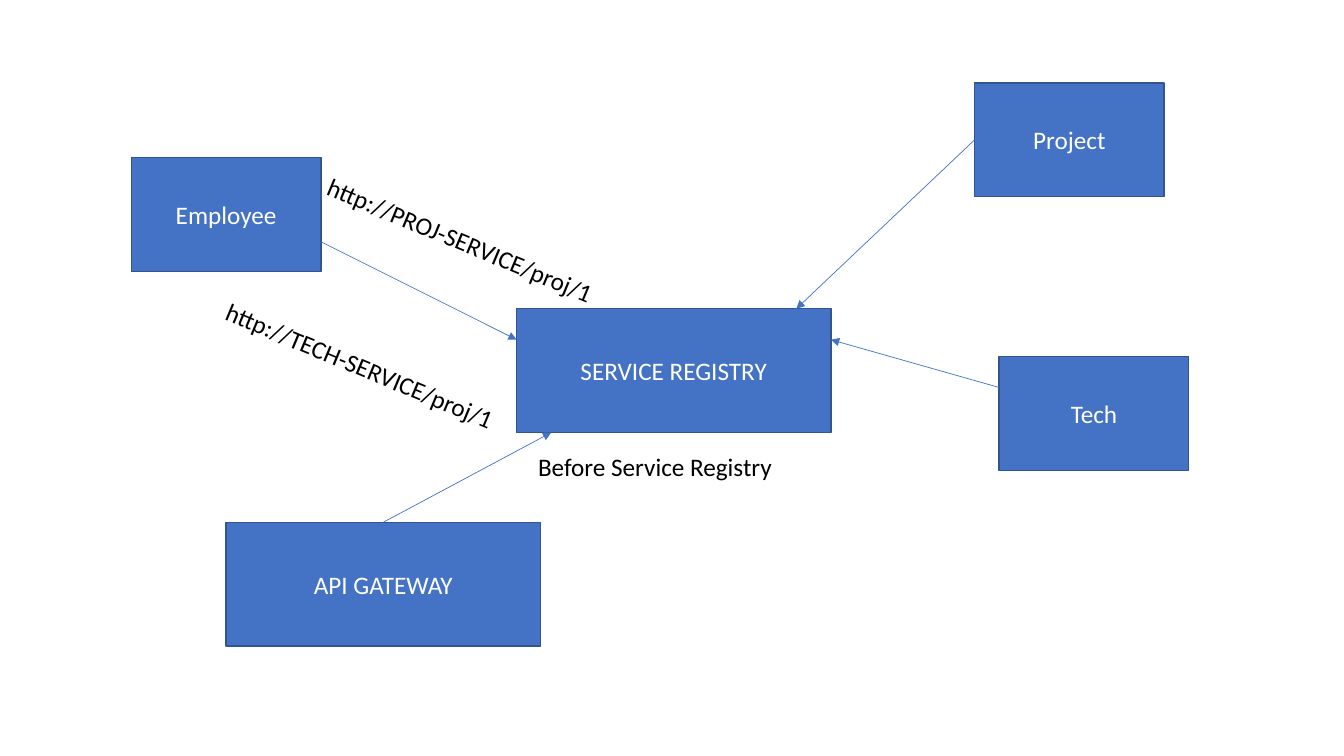
from lxml import etree
from pptx import Presentation
from pptx.dml.color import RGBColor
from pptx.enum.shapes import MSO_CONNECTOR, MSO_SHAPE
from pptx.enum.text import MSO_ANCHOR, MSO_AUTO_SIZE, PP_ALIGN
from pptx.oxml.ns import qn
from pptx.util import Cm, Pt

RECT = MSO_SHAPE.RECTANGLE
LINE = MSO_CONNECTOR.STRAIGHT
MIDDLE = MSO_ANCHOR.MIDDLE
CENTER = PP_ALIGN.CENTER
GROW = MSO_AUTO_SIZE.SHAPE_TO_FIT_TEXT
FONT = "Calibri"
COLORS = {"fill": "4472C4", "edge": "325491", "white": "FFFFFF", "black": "000000"}

SMALL = (4.78, 2.87)
LARGE = (7.92, 3.12)
TILT = 22.68

# name: (label, left, top, size) in cm
NODES = {
    "employee": ("Employee", 3.31, 3.97, SMALL),
    "project": ("Project", 24.56, 2.09, SMALL),
    "tech": ("Tech", 25.18, 8.99, SMALL),
    "registry": ("SERVICE REGISTRY", 13.02, 7.78, LARGE),
    "gateway": ("API GATEWAY", 5.7, 13.16, LARGE),
}
# service, start on its box, end on the registry, as shares of width and height
LINKS = [
    ("project", (0, 0.5), (0.89, 0)),
    ("tech", (0, 0.27), (1, 0.25)),
    ("employee", (1, 0.74), (0, 0.25)),
    ("gateway", (0.5, 0), (0.11, 1)),
]
# text, left, top, width, angle
LABELS = [
    ("Before Service Registry", 13.31, 11.25, 16.92, 0),
    ("http://PROJ-SERVICE/proj/1", 7.69, 5.94, 9.7, TILT),
    ("http://TECH-SERVICE/proj/1", 5.13, 9.09, 9.7, TILT),
]


def color(name):
    """Return the named colour."""
    return RGBColor.from_string(COLORS[name])


def write(frame, text, tint):
    """Put one styled line of text in a frame and return its paragraph."""
    frame.word_wrap = True
    para = frame.paragraphs[0]
    para.text = text
    para.font.name = FONT
    para.font.size = Pt(18)
    para.font.color.rgb = color(tint)
    return para


def add_node(slide, text, left, top, size):
    """Draw a service box with a centred name."""
    box = slide.shapes.add_shape(RECT, Cm(left), Cm(top), *map(Cm, size))
    box.shadow.inherit = False
    box.fill.solid()
    box.fill.fore_color.rgb = color("fill")
    box.line.color.rgb = color("edge")
    box.line.width = Pt(1)
    box.text_frame.vertical_anchor = MIDDLE
    write(box.text_frame, text, "white").alignment = CENTER
    return box


def add_label(slide, text, left, top, width, angle):
    """Place a free line of text, turned by the angle."""
    box = slide.shapes.add_textbox(Cm(left), Cm(top), Cm(width), Cm(1.03))
    box.rotation = angle
    box.text_frame.auto_size = GROW
    write(box.text_frame, text, "black")


def locate(box, share):
    """Return the point at the given shares of a box."""
    return (int(box.left + box.width * share[0]),
            int(box.top + box.height * share[1]))


def add_link(slide, start, end):
    """Draw an arrow between two points."""
    link = slide.shapes.add_connector(LINE, *start, *end)
    link.line.color.rgb = color("fill")
    link.line.width = Pt(0.5)
    edge = link.line._get_or_add_ln()
    etree.SubElement(edge, qn("a:tailEnd"), type="triangle")
    etree.SubElement(link._element.spPr, qn("a:effectLst"))


def add_diagram(slide):
    """Draw the services, their arrows to the registry and the labels."""
    boxes = {name: add_node(slide, *node) for name, node in NODES.items()}
    for name, start, end in LINKS:
        add_link(slide, locate(boxes[name], start), locate(boxes["registry"], end))
    for label in LABELS:
        add_label(slide, *label)


deck = Presentation()
deck.slide_width = Cm(33.87)
deck.slide_height = Cm(19.05)
blank = deck.slide_layouts[6]
add_diagram(deck.slides.add_slide(blank))
deck.save("out.pptx")
